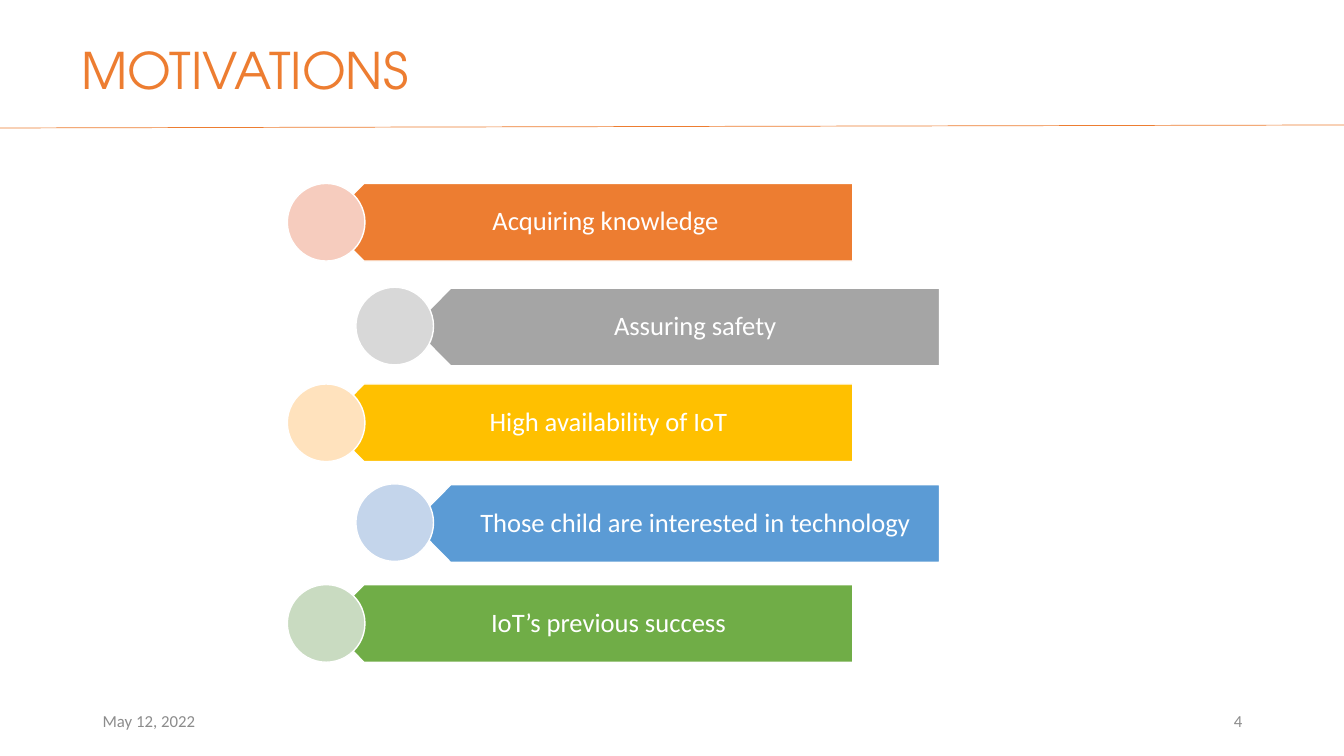
from lxml import etree
from pptx import Presentation
from pptx.dml.color import RGBColor
from pptx.enum.shapes import MSO_CONNECTOR, MSO_SHAPE
from pptx.enum.text import MSO_ANCHOR, PP_ALIGN
from pptx.oxml.ns import qn
from pptx.util import Inches, Pt

COLORS = {
    "accent": "ED7D31",
    "white": "FFFFFF",
    "footer": "8C8C8C",
}


def write(frame, text, size, font, color, align=PP_ALIGN.LEFT, anchor=MSO_ANCHOR.MIDDLE):
    """Put one formatted run in a text frame and return its paragraph."""
    frame.word_wrap = True
    frame.vertical_anchor = anchor
    paragraph = frame.paragraphs[0]
    paragraph.alignment = align
    run = paragraph.add_run()
    run.text = text
    run.font.size = Pt(size)
    run.font.name = font
    run.font.color.rgb = RGBColor.from_string(color)
    return paragraph


def paint(shape, fill):
    """Give a shape a flat fill and a thin white outline."""
    shape.shadow.inherit = False
    shape.fill.solid()
    shape.fill.fore_color.rgb = RGBColor.from_string(fill)
    shape.line.color.rgb = RGBColor.from_string(COLORS["white"])
    shape.line.width = Pt(1)


prs = Presentation()
prs.slide_width, prs.slide_height = Inches(13.33), Inches(7.5)
slide = prs.slides.add_slide(prs.slide_layouts[5])
shapes = slide.shapes

# Heading and the rule below it
heading = shapes.title
heading.left, heading.top = Inches(0.71), Inches(0.34)
heading.width, heading.height = Inches(11.06), Inches(0.71)
write(heading.text_frame, "MOTIVATIONS", 36, "TeX Gyre Adventor", COLORS["accent"],
      anchor=MSO_ANCHOR.TOP)

rule = shapes.add_connector(MSO_CONNECTOR.STRAIGHT, 0, Inches(1.27), Inches(13.33), Inches(1.24))
rule.line.color.rgb = RGBColor.from_string(COLORS["accent"])
rule.line.width = Pt(0.5)
etree.SubElement(rule._element.spPr, qn("a:effectLst"))

# Date and slide number
for text, left, align in [("May 12, 2022", 0.92, PP_ALIGN.LEFT), ("4", 9.42, PP_ALIGN.RIGHT)]:
    footer = shapes.add_textbox(Inches(left), Inches(6.95), Inches(3), Inches(0.4))
    write(footer.text_frame, text, 12, "Calibri", COLORS["footer"], align)

# Motivations: left-pointing banners, each with a disc, in two alternating columns
HEIGHT, WIDTH, POINT = 0.77, 5.23, 0.38
COLUMNS = [(3.23, 2.85), (4.09, 3.53)]
motivations = [
    ("Acquiring knowledge ", 1.82, 1.82, "ED7D31", "F6CCBE"),
    ("Assuring safety", 2.86, 2.85, "A5A5A5", "D8D8D8"),
    ("High availability of IoT", 3.81, 3.81, "FFC000", "FFE2BD"),
    ("Those child are interested in technology", 4.81, 4.8, "5B9BD5", "C4D5EB"),
    ("IoT’s previous success", 5.8, 5.8, "70AD47", "C9DBC1"),
]
for index, (text, top, disc_top, banner_color, disc_color) in enumerate(motivations):
    left, disc_left = COLUMNS[index % 2]
    right, bottom, shoulder = left + WIDTH, top + HEIGHT, left + POINT
    outline = [(shoulder, bottom), (left, top + HEIGHT / 2), (shoulder, top), (right, top)]
    builder = shapes.build_freeform(Inches(right), Inches(bottom))
    builder.add_line_segments([(Inches(x), Inches(y)) for x, y in outline], close=True)
    banner = builder.convert_to_shape()
    paint(banner, banner_color)
    frame = banner.text_frame
    frame.margin_left, frame.margin_right = Inches(0.53), Inches(0.15)
    frame.margin_top = frame.margin_bottom = Inches(0.08)
    label = write(frame, text, 19, "Calibri", COLORS["white"], PP_ALIGN.CENTER)
    label.line_spacing = 0.9

    disc = shapes.add_shape(MSO_SHAPE.OVAL, Inches(disc_left), Inches(disc_top),
                            Inches(HEIGHT), Inches(HEIGHT))
    paint(disc, disc_color)

prs.save("out.pptx")
